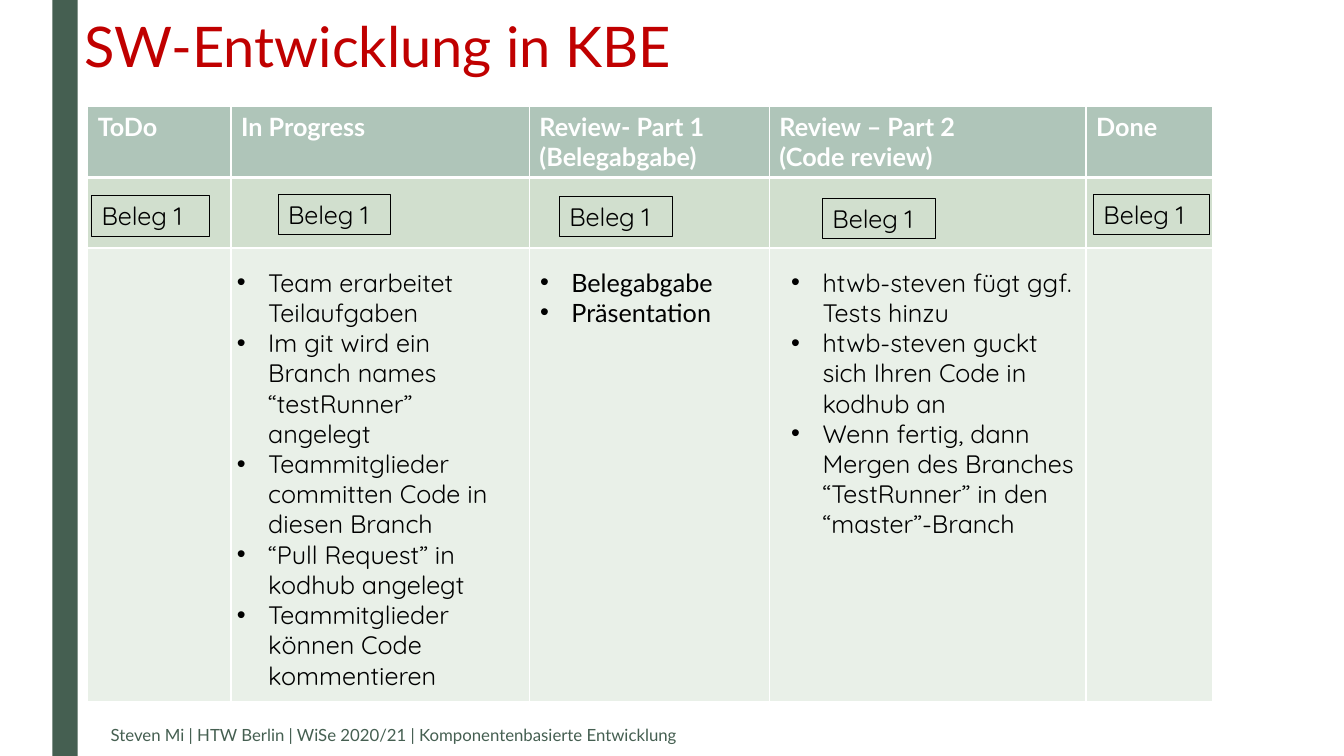
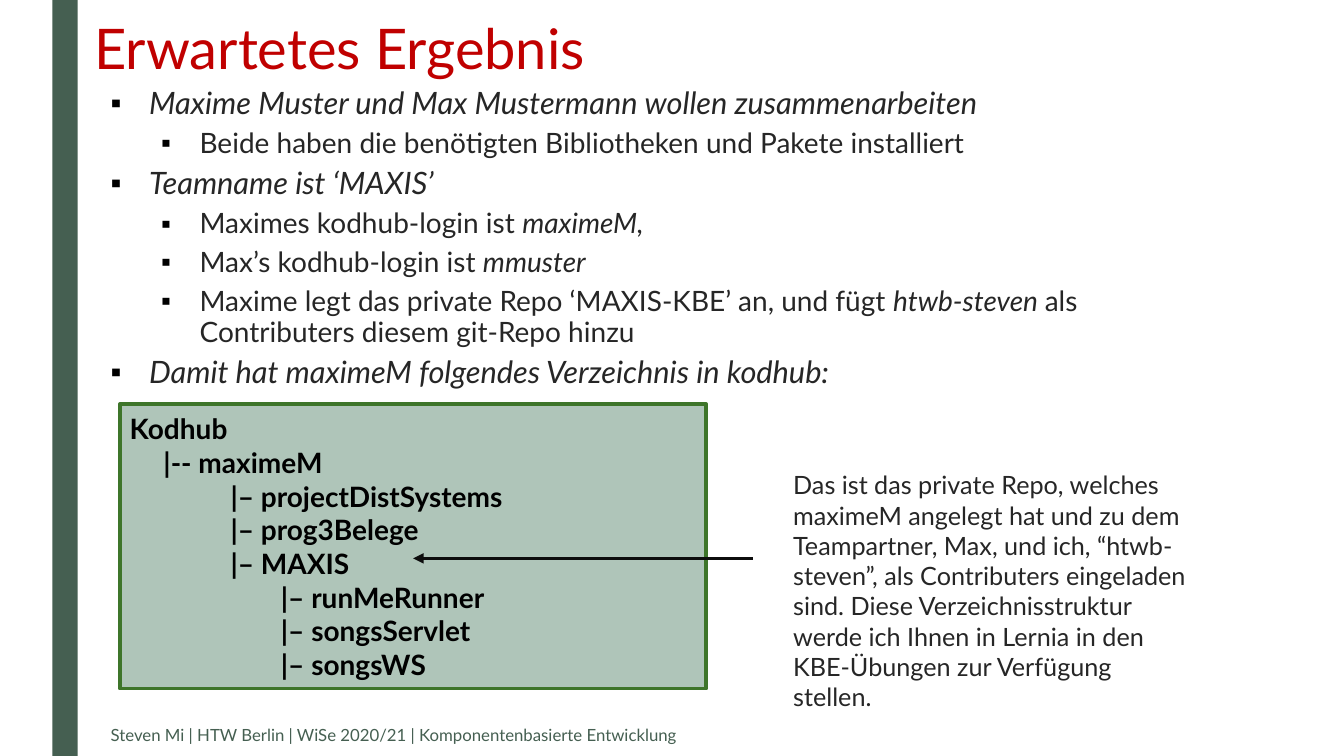
from lxml.etree import SubElement
from pptx import Presentation
from pptx.dml.color import RGBColor
from pptx.enum.shapes import MSO_CONNECTOR, MSO_SHAPE
from pptx.enum.text import MSO_ANCHOR, PP_ALIGN
from pptx.oxml import parse_xml
from pptx.oxml.ns import nsdecls, qn
from pptx.util import Cm, Pt

BLACK = RGBColor(0x00, 0x00, 0x00)
WHITE = RGBColor(0xFF, 0xFF, 0xFF)
INK = RGBColor(0x26, 0x26, 0x26)
ARROW = RGBColor(0x0D, 0x0D, 0x0D)
RED = RGBColor(0xC0, 0x00, 0x00)
PINE = RGBColor(0x45, 0x5F, 0x51)
LEAF = RGBColor(0x3E, 0x75, 0x2A)
SAGE = RGBColor(0xAF, 0xC5, 0xB9)
MINT = RGBColor(0xD1, 0xDF, 0xCE)
PALE = RGBColor(0xE9, 0xF0, 0xE8)

FOOTER = "Steven Mi | HTW Berlin | WiSe 2020/21 | Komponentenbasierte Entwicklung"

BOARD_COLUMNS = [
    (3.61, ["ToDo"]),
    (7.52, ["In Progress"]),
    (6.05, ["Review- Part 1 (Belegabgabe)"]),
    (7.98, ["Review – Part 2", "(Code review)"]),
    (3.18, ["Done"]),
]
BOARD_ROWS = [(1.78, SAGE), (1.78, MINT), (11.43, PALE)]
CARD = "Beleg 1"
CARD_PLACES = [
    (2.31, 4.93, 2.97),
    (7.01, 4.9, 2.84),
    (14.1, 4.95, 2.84),
    (20.73, 5.0, 2.84),
    (27.56, 4.9, 2.92),
]
TASKS = [
    (5.72, 7.24, 11.79, "Quicksand", [
        "Team erarbeitet Teilaufgaben",
        "Im git wird ein Branch names “testRunner” angelegt",
        "Teammitglieder committen Code in diesen Branch",
        "“Pull Request” in kodhub angelegt",
        "Teammitglieder können Code kommentieren",
    ]),
    (13.36, 5.64, 2.57, "Lato", ["Belegabgabe", "Präsentation"]),
    (19.69, 7.75, 7.95, "Quicksand", [
        "htwb-steven fügt ggf. Tests hinzu",
        "htwb-steven guckt sich Ihren Code in kodhub an",
        "Wenn fertig, dann Mergen des Branches “TestRunner” in den “master”-Branch",
    ]),
]

STEPS = [
    (0, ["Maxime Muster und Max Mustermann wollen zusammenarbeiten"]),
    (1, ["Beide haben die benötigten Bibliotheken und Pakete installiert"]),
    (0, ["Teamname ist ‘MAXIS’"]),
    (1, ["Maximes kodhub-login ist ", "maximeM,"]),
    (1, ["Max’s kodhub-login ist ", "mmuster"]),
    (1, ["Maxime legt das private Repo ‘MAXIS-KBE’ an, und fügt ",
         "htwb-steven ", "als Contributers diesem git-Repo hinzu"]),
    (0, ["Damit hat maximeM folgendes Verzeichnis in kodhub:"]),
]
TREE = [
    (0, "Kodhub"),
    (1, "|-- maximeM"),
    (2, "|– projectDistSystems"),
    (2, "|– prog3Belege"),
    (2, "|– MAXIS"),
    (3, "|– runMeRunner"),
    (3, "|– songsServlet"),
    (3, "|– songsWS"),
]
TREE_INDENTS = [0, 0.85, 2.54, 3.81]
NOTE = ("Das ist das private Repo, welches maximeM angelegt hat und zu dem "
        "Teampartner, Max, und ich, “htwb-steven”, als Contributers eingeladen "
        "sind. Diese Verzeichnisstruktur werde ich Ihnen in Lernia in den "
        "KBE-Übungen zur Verfügung stellen.")


def style(para, size, color, name="Lato", bold=False, italic=False):
    font = para.font
    font.name, font.size = name, Pt(size)
    font.bold, font.italic = bold, italic
    font.color.rgb = color
    para.alignment = PP_ALIGN.LEFT


def add_paras(frame, count):
    return [frame.paragraphs[0]] + [frame.add_paragraph() for _ in range(count - 1)]


def indent(para, left, hanging=0.0):
    properties = para._p.get_or_add_pPr()
    properties.set("marL", str(Cm(left)))
    properties.set("indent", str(-Cm(hanging)))


def add_bullet(para, mark):
    bullet = (f'<a:buClr {nsdecls("a")}><a:srgbClr val="{BLACK}"/></a:buClr>',
              f'<a:buFont {nsdecls("a")} typeface="Arial"/>',
              f'<a:buChar {nsdecls("a")} char="{mark}"/>')
    properties = para._p.get_or_add_pPr()
    font = properties.find(qn("a:defRPr"))
    for part in bullet:
        font.addprevious(parse_xml(part))


def add_text(page, place, lines, size, color, name="Lato", anchor=MSO_ANCHOR.TOP):
    box = page.shapes.add_textbox(*map(Cm, place))
    frame = box.text_frame
    frame.word_wrap = True
    frame.vertical_anchor = anchor
    paras = add_paras(frame, len(lines))
    for para, line in zip(paras, lines):
        para.text = line
        style(para, size, color, name)
    return paras


def add_box(page, place, fill=None, line=None, width=0.75, anchor=MSO_ANCHOR.TOP):
    box = page.shapes.add_shape(MSO_SHAPE.RECTANGLE, *map(Cm, place))
    box.shadow.inherit = False
    if fill is None:
        box.fill.background()
    else:
        box.fill.solid()
        box.fill.fore_color.rgb = fill
    if line is None:
        box.line.fill.background()
    else:
        box.line.color.rgb = line
        box.line.width = Pt(width)
    box.text_frame.word_wrap = True
    box.text_frame.vertical_anchor = anchor
    return box


def add_page(deck, title, place):
    page = deck.slides.add_slide(deck.slide_layouts[6])
    add_box(page, (1.32, 0, 0.64, 19.05), PINE)
    heading, = add_text(page, place, [title], 40, RED)
    heading.line_spacing = 0.89
    add_text(page, (2.54, 17.96, 17.45, 1.12), [FOOTER], 12, PINE,
             anchor=MSO_ANCHOR.MIDDLE)
    return page


def add_borders(cell, bottom):
    properties = cell._tc.get_or_add_tcPr()
    widths = {"lnL": 1, "lnR": 1, "lnT": 1, "lnB": bottom}
    for position, (side, width) in enumerate(widths.items()):
        border = parse_xml(f'<a:{side} {nsdecls("a")} w="{Pt(width)}"><a:solidFill>'
                           f'<a:srgbClr val="{WHITE}"/></a:solidFill></a:{side}>')
        properties.insert(position, border)


def add_board(page):
    width = sum(column[0] for column in BOARD_COLUMNS)
    height = sum(row[0] for row in BOARD_ROWS)
    board = page.shapes.add_table(
        len(BOARD_ROWS), len(BOARD_COLUMNS),
        Cm(2.21), Cm(2.69), Cm(width), Cm(height)).table
    for column, (width, _) in zip(board.columns, BOARD_COLUMNS):
        column.width = Cm(width)
    for index, (height, fill) in enumerate(BOARD_ROWS):
        board.rows[index].height = Cm(height)
        for cell in board.rows[index].cells:
            cell.fill.solid()
            cell.fill.fore_color.rgb = fill
            add_borders(cell, 3 if index == 0 else 1)
    for cell, (_, lines) in zip(board.rows[0].cells, BOARD_COLUMNS):
        for para, line in zip(add_paras(cell.text_frame, len(lines)), lines):
            para.text = line
            style(para, 18, WHITE, bold=True)


def add_steps(page):
    paras = add_text(page, (2.54, 2.06, 27.53, 15.54), [""] * len(STEPS), 20, INK)
    for para, (level, parts) in zip(paras, STEPS):
        style(para, 20 if level else 22, INK, italic=level == 0)
        para.line_spacing = 0.94
        para.space_before = Pt(5)
        indent(para, 0.97 + 1.27 * level, 0.97)
        add_bullet(para, "▪")
        for index, part in enumerate(parts):
            span = para.add_run()
            span.text = part
            if index % 2:
                span.font.italic = True


def add_tree(page):
    box = add_box(page, (3.02, 10.19, 14.78, 7.16), SAGE, LEAF, 2.75, MSO_ANCHOR.MIDDLE)
    for para, (depth, name) in zip(add_paras(box.text_frame, len(TREE)), TREE):
        para.text = name
        style(para, 20, BLACK, bold=True)
        indent(para, TREE_INDENTS[depth])


def add_arrow(page, start, end):
    arrow = page.shapes.add_connector(MSO_CONNECTOR.STRAIGHT, *map(Cm, start + end))
    arrow.line.color.rgb = ARROW
    arrow.line.width = Pt(2.5)
    SubElement(arrow.line._get_or_add_ln(), qn("a:tailEnd"), type="triangle")
    SubElement(arrow._element.spPr, qn("a:effectLst"))


deck = Presentation()
deck.slide_width, deck.slide_height = Cm(33.87), Cm(19.05)

workflow = add_page(deck, "SW-Entwicklung in KBE", (1.88, 0.38, 28.42, 2.06))
add_board(workflow)
for left, top, width in CARD_PLACES:
    card = add_box(workflow, (left, top, width, 1.02), line=BLACK)
    para = card.text_frame.paragraphs[0]
    para.text = CARD
    style(para, 18, BLACK, "Quicksand")
for left, width, height, name, lines in TASKS:
    for para in add_text(workflow, (left, 6.6, width, height), lines, 18, BLACK, name):
        indent(para, 0.79, 0.79)
        add_bullet(para, "•")

outcome = add_page(deck, "Erwartetes Ergebnis", (2.13, 0.43, 26.72, 2.06))
add_steps(outcome)
add_tree(outcome)
add_arrow(outcome, (18.97, 14.07), (10.41, 14.07))
note = add_box(outcome, (19.74, 11.71, 10.57, 6.25), WHITE)
para = note.text_frame.paragraphs[0]
para.text = NOTE
style(para, 18, INK)

deck.save("out.pptx")
